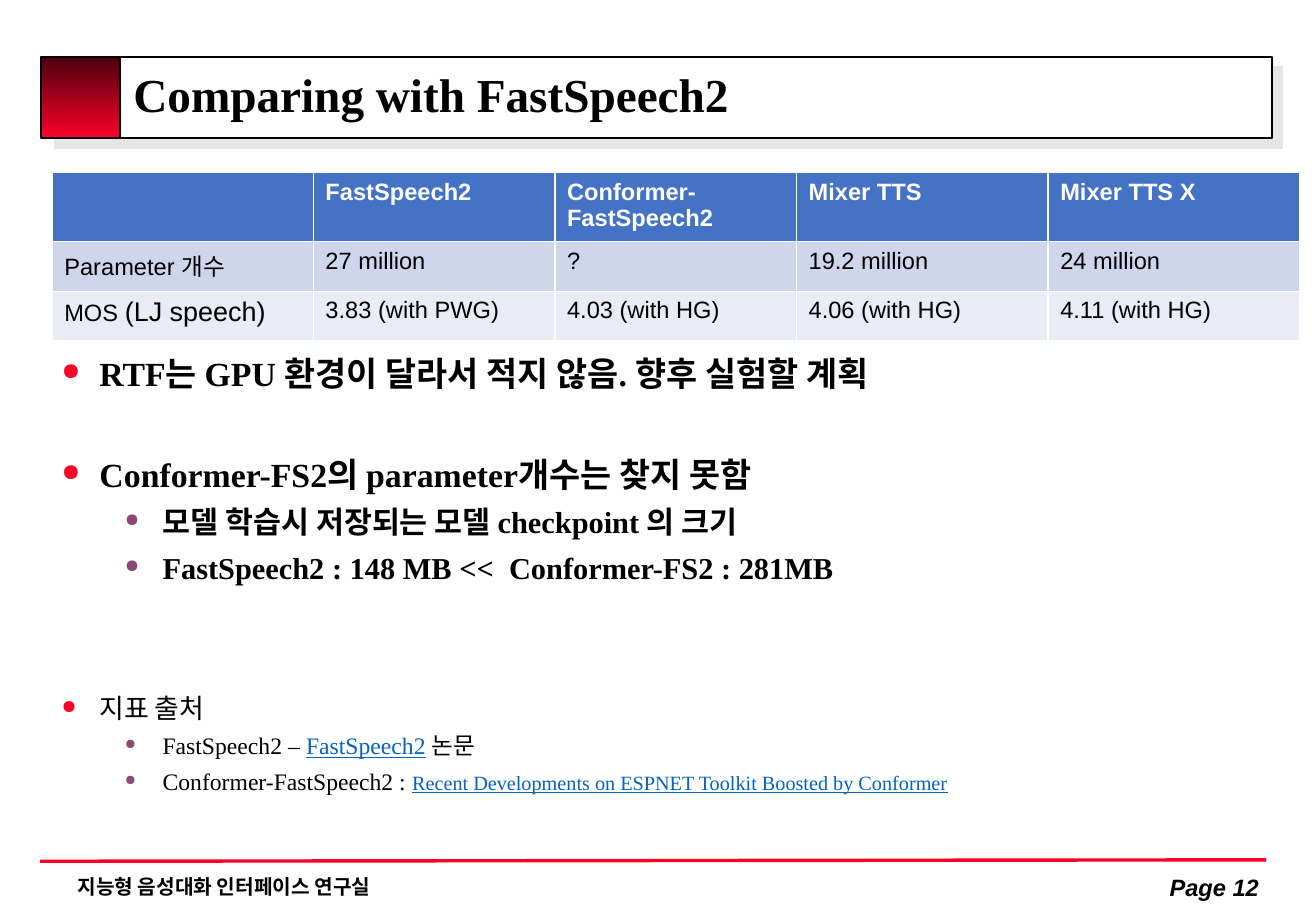
from dataclasses import dataclass

from lxml import etree
from pptx import Presentation
from pptx.dml.color import RGBColor
from pptx.enum.shapes import MSO_CONNECTOR, MSO_SHAPE
from pptx.enum.text import MSO_ANCHOR, PP_ALIGN
from pptx.oxml.ns import qn
from pptx.util import Cm, Pt

RECTANGLE = MSO_SHAPE.RECTANGLE
STRAIGHT = MSO_CONNECTOR.STRAIGHT
TOP, MIDDLE = MSO_ANCHOR.TOP, MSO_ANCHOR.MIDDLE
LEFT, RIGHT = PP_ALIGN.LEFT, PP_ALIGN.RIGHT


@dataclass(frozen=True)
class Theme:
    serif: str = "Times New Roman"
    sans: str = "Arial"
    black: str = "000000"
    white: str = "FFFFFF"
    red: str = "FC0128"
    dark_red: str = "4B000C"
    link: str = "0563C1"
    shadow: str = "E7E6E6"
    header: str = "4472C4"
    bands: tuple = ("CFD5EA", "E9EBF5")
    bullets: tuple = (("FC0128", 70), ("8B4A73", 60))
    title: int = 28
    point: int = 20
    detail: int = 18
    source: int = 16
    small: int = 14
    tiny: int = 12


class SlideBuilder:
    def __init__(self, slide, theme):
        self.shapes = slide.shapes
        self.theme = theme

    def style(self, font, size, color, bold=False, italic=False, face=None):
        font.name = face or self.theme.sans
        font.size = Pt(size)
        font.bold, font.italic = bold, italic
        font.color.rgb = RGBColor.from_string(color)

    def drop_shadow(self, properties, distance):
        """Append a solid shadow falling to the lower right."""
        effects = properties.find(qn("a:effectLst"))
        if effects is None:
            effects = etree.Element(qn("a:effectLst"))
            properties.find(qn("a:solidFill")).addnext(effects)
        shadow = etree.SubElement(effects, qn("a:outerShdw"), dist=str(Pt(distance)),
                                  dir="2700000", algn="ctr", rotWithShape="0")
        etree.SubElement(shadow, qn("a:srgbClr"), val=self.theme.shadow)

    def rectangle(self, left, top, width, height):
        box = self.shapes.add_shape(RECTANGLE, Cm(left), Cm(top), Cm(width), Cm(height))
        box.shadow.inherit = False
        box.line.color.rgb = RGBColor.from_string(self.theme.black)
        box.line.width = Pt(1)
        box.fill.solid()
        box.fill.fore_color.rgb = RGBColor.from_string(self.theme.white)
        return box

    def title_bar(self):
        frame = self.rectangle(0.94, 1.19, 25.65, 1.7)
        self.drop_shadow(frame._element.spPr, 8.5)
        accent = self.rectangle(0.86, 1.19, 1.65, 1.7)
        accent.fill.gradient()
        accent.fill.gradient_angle = 270
        colors = (self.theme.dark_red, self.theme.red)
        for stop, color in zip(accent.fill.gradient_stops, colors):
            stop.color.rgb = RGBColor.from_string(color)

    def rule(self, x1, y1, x2, y2):
        line = self.shapes.add_connector(STRAIGHT, Cm(x1), Cm(y1), Cm(x2), Cm(y2))
        line.line.color.rgb = RGBColor.from_string(self.theme.red)
        line.line.width = Pt(2)
        etree.SubElement(line._element.spPr, qn("a:effectLst"))

    def text_frame(self, left, top, width, height, anchor=TOP):
        frame = self.shapes.add_textbox(Cm(left), Cm(top), Cm(width), Cm(height)).text_frame
        frame.word_wrap = True
        frame.vertical_anchor = anchor
        return frame

    def label(self, text, place, size, anchor=TOP, align=LEFT, italic=False, face=None):
        paragraph = self.text_frame(*place, anchor).paragraphs[0]
        paragraph.text = text
        paragraph.alignment = align
        self.style(paragraph.font, size, self.theme.black, True, italic, face)
        return paragraph

    def title(self, text):
        heading = self.label(text, (2.54, 1.12, 24.13, 1.9), self.theme.title,
                             MIDDLE, face=self.theme.serif)
        heading.line_spacing = 0.8
        run = heading.runs[0]
        self.style(run.font, self.theme.title, self.theme.black, True, face=self.theme.serif)
        self.drop_shadow(run.font._element, 3)

    def bullet(self, paragraph, level):
        color, percent = self.theme.bullets[level]
        properties = paragraph._p.get_or_add_pPr()
        properties.set("marL", str(Cm((0.79, 2.11)[level])))
        properties.set("indent", str(-Cm(0.79)))
        tint = etree.SubElement(properties, qn("a:buClr"))
        etree.SubElement(tint, qn("a:srgbClr"), val=color)
        etree.SubElement(properties, qn("a:buSzPct"), val=str(percent * 1000))
        etree.SubElement(properties, qn("a:buChar"), char="●")

    def bullets(self, place, items):
        """Each item is level, size, bold, space before, text, then an optional
        (link text, link size, text after the link)."""
        frame = self.text_frame(*place)
        for index, (level, size, bold, space, text, *linked) in enumerate(items):
            paragraph = frame.add_paragraph() if index else frame.paragraphs[0]
            paragraph.space_before = Pt(space)
            self.bullet(paragraph, level)
            self.style(paragraph.font, size, self.theme.black, bold, face=self.theme.serif)
            paragraph.add_run().text = text
            for link_text, link_size, tail in linked:
                link = paragraph.add_run()
                link.text = link_text
                link.font.size = Pt(link_size)
                link.font.underline = True
                link.font.color.rgb = RGBColor.from_string(self.theme.link)
                if tail:
                    paragraph.add_run().text = tail

    def table(self, left, top, widths, heights, rows):
        theme = self.theme
        table = self.shapes.add_table(len(rows), len(widths), Cm(left), Cm(top),
                                      Cm(sum(widths)), Cm(sum(heights))).table
        for column, width in zip(table.columns, widths):
            column.width = Cm(width)
        fills = (theme.header, *theme.bands)
        for r, (values, height, fill) in enumerate(zip(rows, heights, fills)):
            table.rows[r].height = Cm(height)
            for c, value in enumerate(values):
                cell = table.cell(r, c)
                cell.fill.solid()
                cell.fill.fore_color.rgb = RGBColor.from_string(fill)
                cell.text = value
                for paragraph in cell.text_frame.paragraphs:
                    self.style(paragraph.font, theme.small,
                               theme.black if r else theme.white, r == 0)
        return table


def main():
    theme = Theme()
    deck = Presentation()
    deck.slide_width, deck.slide_height = Cm(27.51), Cm(19.05)
    page = SlideBuilder(deck.slides.add_slide(deck.slide_layouts[6]), theme)

    page.title_bar()
    page.rule(0.84, 18.01, 26.47, 17.98)
    page.label("지능형 음성대화 인터페이스 연구실", (1.37, 18.16, 18.39, 0.76), theme.tiny)
    page.title("Comparing with FastSpeech2")
    page.bullets((1.04, 7.25, 25.7, 10.3), [
        (0, theme.point, True, 0, "RTF는 GPU 환경이 달라서 적지 않음. 향후 실험할 계획"),
        (0, theme.point, True, 36, "Conformer-FS2의 parameter개수는 찾지 못함"),
        (1, theme.detail, True, 5.4, "모델 학습시 저장되는 모델 checkpoint 의 크기"),
        (1, theme.detail, True, 5.4, "FastSpeech2 : 148 MB <<  Conformer-FS2 : 281MB"),
        (0, theme.source, False, 63, "지표 출처"),
        (1, theme.small, False, 4.2, "FastSpeech2 – ", ("FastSpeech2", theme.small, " 논문")),
        (1, theme.small, False, 4.2, "Conformer-FastSpeech2 : ",
         ("Recent Developments on ESPNET Toolkit Boosted by Conformer", theme.tiny, "")),
    ])
    page.label("Page 12", (23.6, 18.14, 2.97, 0.84), theme.small, MIDDLE, RIGHT, italic=True)

    comparison = page.table(1.09, 3.61, (5.46, 5.05, 5.05, 5.26, 5.26), (1.36, 1.04, 1.04), [
        ("", "FastSpeech2", "Conformer-\nFastSpeech2", "Mixer TTS", "Mixer TTS X"),
        ("Parameter 개수", "27 million", "?", "19.2 million", "24 million"),
        ("MOS ", "3.83 (with PWG)", "4.03 (with HG)", "4.06 (with HG)", "4.11 (with HG)"),
    ])
    dataset = comparison.cell(2, 0).text_frame.paragraphs[0].add_run()
    dataset.text = "(LJ speech)"
    dataset.font.size = Pt(theme.source)

    deck.save("out.pptx")


if __name__ == "__main__":
    main()
